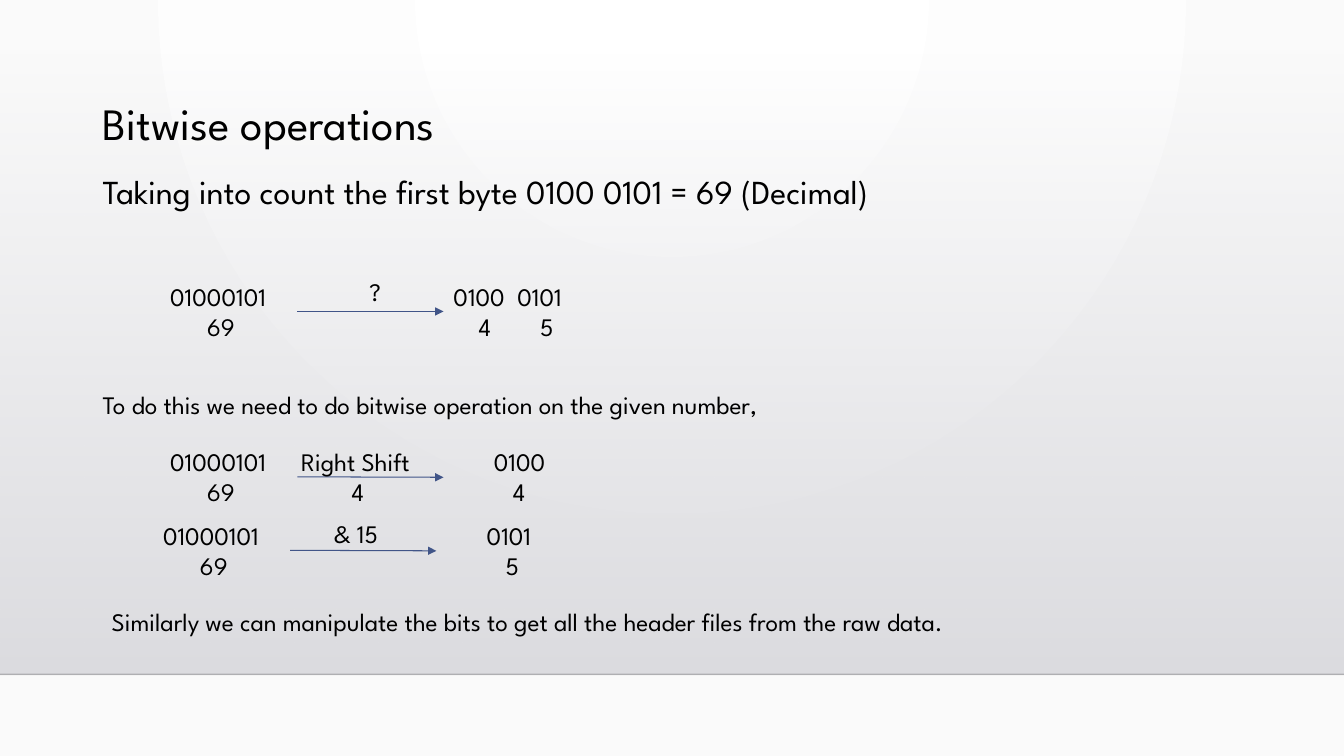
from dataclasses import dataclass

from pptx import Presentation
from pptx.dml.color import RGBColor as Rgb
from pptx.enum.shapes import MSO_CONNECTOR as Link, MSO_SHAPE as Form
from pptx.enum.text import MSO_ANCHOR as Anchor, MSO_AUTO_SIZE as Fit, PP_ALIGN as Align
from pptx.oxml import parse_xml
from pptx.oxml.ns import nsdecls
from pptx.util import Pt

FONT = "League Spartan"
HUES = {"text": "000000", "arrow": "415588", "rule": "000001",
        "white": "FFFFFF", "edge": "FAFAFA", "top": "DCDCE0", "base": "DEDEE2"}
WIDE, HIGH = 960, 540
FLOOR = 481.7    # bottom of the grey panel
SIDE = 66.2      # left margin of the prose
BOX_W, BOX_H = 97.9, 51.1
REACH = 104.4    # length of each arrow


@dataclass
class Note:
    """Lines of text in a box; tabs[i] holds the tab stops of line i."""
    left: float
    top: float
    width: float
    lines: tuple
    tabs: tuple = ()
    size: float = 18


@dataclass
class Step:
    """One operation: the byte, an arrow, its label and the result."""
    left: float
    top: float
    label: Note
    result: Note
    joined: bool = False


def write(frame, lines, tabs=(), size=18, spacing=None):
    frame.word_wrap = True
    for i, line in enumerate(lines):
        para = frame.paragraphs[0] if i == 0 else frame.add_paragraph()
        para.alignment = Align.LEFT
        if spacing:
            para.line_spacing = spacing
        run = para.add_run()
        run.text = line
        run.font.name, run.font.size = FONT, Pt(size)
        run.font.color.rgb = Rgb.from_string(HUES["text"])
        if i < len(tabs) and tabs[i]:
            stops = "".join(f'<a:tab pos="{int(Pt(x))}" algn="l"/>' for x in tabs[i])
            para._p.get_or_add_pPr().append(
                parse_xml(f'<a:tabLst {nsdecls("a")}>{stops}</a:tabLst>'))


def add_note(shapes, note: Note):
    box = shapes.add_textbox(Pt(note.left), Pt(note.top), Pt(note.width),
                             Pt(note.size * 1.2 * len(note.lines) + 7.2))
    write(box.text_frame, note.lines, note.tabs, note.size)
    box.text_frame.auto_size = Fit.SHAPE_TO_FIT_TEXT
    return box


def add_line(shapes, start, end, hue, weight):
    line = shapes.add_connector(Link.STRAIGHT, *(Pt(v) for v in (*start, *end)))
    line.line.color.rgb = Rgb.from_string(HUES[hue])
    line.line.width = Pt(weight)
    line._element.spPr.append(parse_xml(f'<a:effectLst {nsdecls("a")}/>'))
    return line


def add_step(shapes, step: Step):
    byte = add_note(shapes, Note(step.left, step.top, BOX_W, ("01000101", "\t69"), ((), (26.4,))))
    result = add_note(shapes, step.result)
    x, y = step.left + BOX_W, step.top + BOX_H / 2
    arrow = add_line(shapes, (x, y), (x + REACH, y), "arrow", 0.75)
    arrow.line._get_or_add_ln().append(parse_xml(f'<a:tailEnd {nsdecls("a")} type="triangle"/>'))
    arrow.begin_connect(byte, 3)
    if step.joined:
        arrow.end_connect(result, 1)
    add_note(shapes, step.label)


def blend(fill, owner, stops, shade):
    """Give owner a gradient of (position, hue, opacity) stops."""
    fill.gradient()
    marks = "".join(f'<a:gs pos="{pos * 1000}"><a:srgbClr val="{HUES[hue]}">'
                    f'<a:alpha val="{alpha * 1000}"/></a:srgbClr></a:gs>'
                    for pos, hue, alpha in stops)
    old = owner.xpath(".//a:gradFill")[0]
    old.getparent().replace(old, parse_xml(
        f'<a:gradFill {nsdecls("a")} rotWithShape="1"><a:gsLst>{marks}</a:gsLst>{shade}</a:gradFill>'))


def result_note(left, top, bits, value):
    return Note(left, top, BOX_W, ("\t" + bits, "\t" + value), ((26,), (39.6,)))


PROSE = (
    Note(SIDE, 118.8, 762.5, ("Taking into count the first byte 0100 0101 = 69 (Decimal)",), size=24),
    Note(SIDE, 274.3, 565.2, ("To do this we need to do bitwise operation on the given number,",)),
    Note(72.7, 429.8, 621.4,
         ("Similarly we can manipulate the bits to get all the header files from the raw data.",)),
)
STEPS = (
    Step(114.5, 197.3, Note(221.8, 193.7, 85, ("\t?",), ((35,),)),
         Note(316.8, 197.3, 123.8, ("0100\t0101", "\t4\t5"), ((45.7,), (18, 62))), True),
    Step(114.5, 315.4, Note(208.1, 315.4, 104.4, ("Right Shift", "\t4"), ((), (36,))),
         result_note(319.7, 315.4, "0100", "4")),
    Step(109.4, 367.9, Note(213.8, 366.5, 85, ("\t& 15",), ((17.7,),)),
         result_note(314.6, 367.9, "0101", "5")),
)


def main():
    deck = Presentation()
    deck.slide_width, deck.slide_height = Pt(WIDE), Pt(HIGH)
    slide = deck.slides.add_slide(deck.slide_layouts[5])
    shapes, title = slide.shapes, slide.shapes.title

    # Backdrop: round glow, fading panel and floor line, all behind the title
    blend(slide.background.fill, slide.element, ((0, "white", 100), (100, "edge", 100)),
          '<a:path path="circle"><a:fillToRect l="43000" t="0" r="43000" b="100000"/></a:path>')
    panel = shapes.add_shape(Form.RECTANGLE, 0, Pt(36.7), Pt(WIDE), Pt(FLOOR - 36.7))
    panel.shadow.inherit = False
    panel.line.fill.background()
    blend(panel.fill, panel.element, ((0, "top", 0), (100, "base", 100)),
          '<a:lin ang="5400000" scaled="0"/>')
    rule = add_line(shapes, (0, FLOOR), (WIDE, FLOOR), "rule", 1)
    rule.line._get_or_add_ln().xpath(".//a:srgbClr")[0].append(
        parse_xml(f'<a:alpha {nsdecls("a")} val="20000"/>'))
    for part in (panel, rule):
        title.element.addprevious(part.element)

    # Title
    title.left, title.top, title.width, title.height = Pt(SIDE), Pt(69.1), Pt(828), Pt(59.8)
    title.text_frame.auto_size = Fit.NONE
    title.text_frame.vertical_anchor = Anchor.TOP
    write(title.text_frame, ("Bitwise operations",), size=32, spacing=0.9)

    # Prose and operations
    for note in PROSE:
        add_note(shapes, note)
    for step in STEPS:
        add_step(shapes, step)
    deck.save("out.pptx")


if __name__ == "__main__":
    main()
